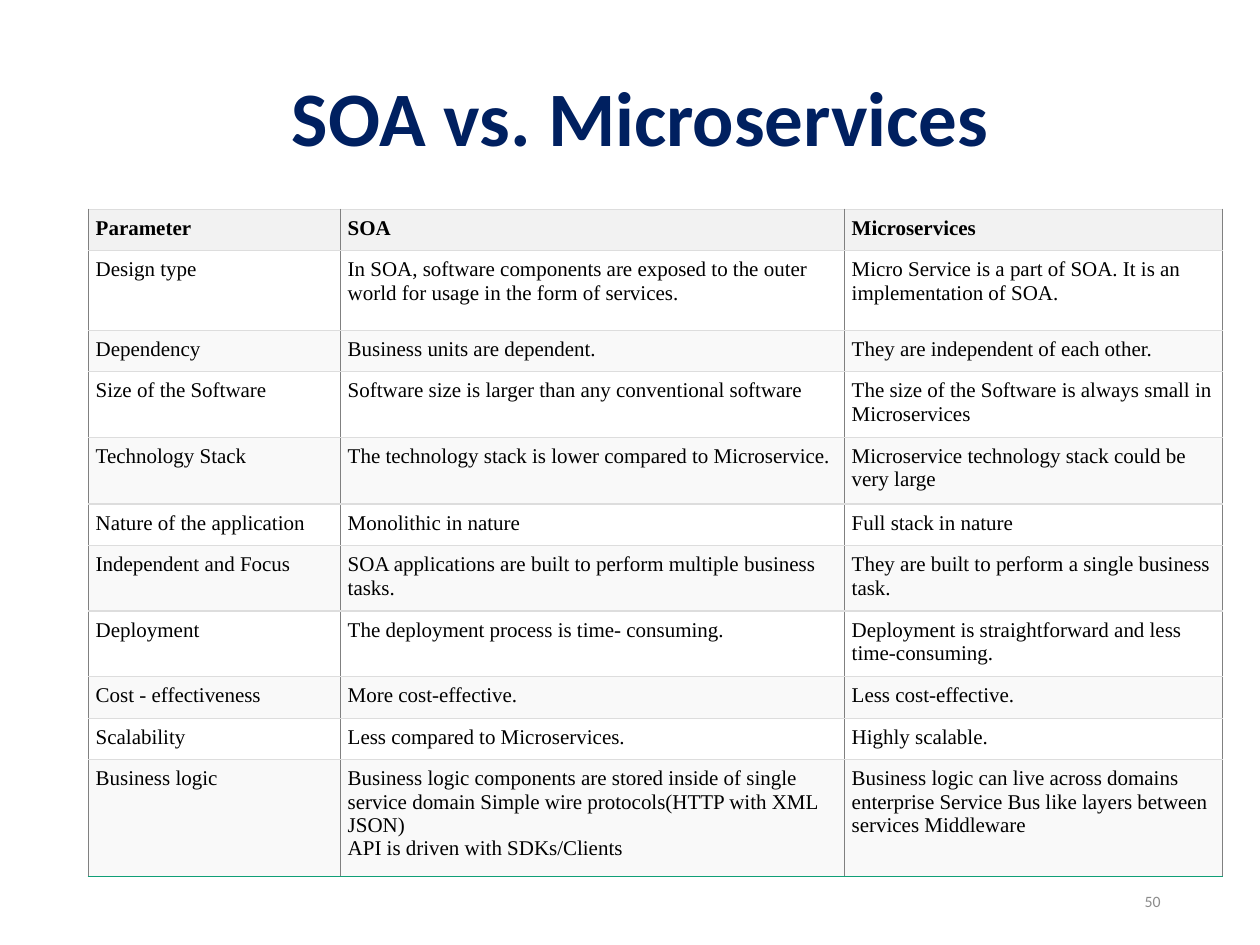
from lxml.etree import SubElement
from pptx import Presentation
from pptx.dml.color import RGBColor
from pptx.enum.text import MSO_ANCHOR, MSO_AUTO_SIZE, PP_ALIGN
from pptx.oxml.ns import qn
from pptx.util import Inches, Pt

NAVY = RGBColor(0x00, 0x20, 0x60)
BLACK = RGBColor(0x00, 0x00, 0x00)
WHITE = RGBColor(0xFF, 0xFF, 0xFF)
HEADER_FILL = RGBColor(0xF2, 0xF2, 0xF2)
BAND_FILL = RGBColor(0xF9, 0xF9, 0xF9)
NUMBER_GRAY = RGBColor(0x8C, 0x8C, 0x8C)
RULE_GRAY = RGBColor(0xDD, 0xDD, 0xDD)
COLUMN_GRAY = RGBColor(0x80, 0x80, 0x80)
BOTTOM_GREEN = RGBColor(0x10, 0x9F, 0x77)

COLUMN_WIDTHS = [2, 4, 3]
ROWS = [
    (0.33, "Parameter", "SOA", "Microservices"),
    (0.63, "Design type",
     "In SOA, software components are exposed to the outer world for usage in the form of services.",
     "Micro Service is a part of SOA. It is an implementation of SOA."),
    (0.33, "Dependency", "Business units are dependent.", "They are independent of each other."),
    (0.52, "Size of the Software", "Software size is larger than any conventional software",
     "The size of the Software is always small in Microservices"),
    (0.53, "Technology Stack", "The technology stack is lower compared to Microservice.",
     "Microservice technology stack could be very large"),
    (0.33, "Nature of the application", "Monolithic in nature", "Full stack in nature"),
    (0.52, "Independent and Focus", "SOA applications are built to perform multiple business tasks.",
     "They are built to perform a single business task."),
    (0.52, "Deployment", "The deployment process is time- consuming.",
     "Deployment is straightforward and less time-consuming."),
    (0.33, "Cost - effectiveness", "More cost-effective.", "Less cost-effective."),
    (0.33, "Scalability", "Less compared to Microservices.", "Highly scalable."),
    (0.93, "Business logic",
     "Business logic components are stored inside of single service domain "
     "Simple wire protocols(HTTP with XML JSON)\nAPI is driven with SDKs/Clients",
     "Business logic can live across domains enterprise Service Bus like layers between services Middleware"),
]


def add_run(paragraph, text, font_name, size, color, bold=False):
    run = paragraph.add_run()
    run.text = text
    run.font.name = font_name
    run.font.size = Pt(size)
    run.font.bold = bold
    run.font.color.rgb = color


def add_border(cell, side, color):
    line = SubElement(cell._tc.get_or_add_tcPr(), qn(f"a:ln{side}"), w=str(Pt(0.75)))
    fill = SubElement(line, qn("a:solidFill"))
    SubElement(fill, qn("a:srgbClr"), val=str(color))


presentation = Presentation()
presentation.slide_width = Inches(10)
presentation.slide_height = Inches(7.5)
slide = presentation.slides.add_slide(presentation.slide_layouts[5])

title = slide.shapes.title
title.left, title.top, title.width, title.height = Inches(0.67), Inches(0.5), Inches(8.83), Inches(0.84)
title.text_frame.auto_size = MSO_AUTO_SIZE.SHAPE_TO_FIT_TEXT
title_paragraph = title.text_frame.paragraphs[0]
title_paragraph.alignment = PP_ALIGN.CENTER
add_run(title_paragraph, "SOA vs. Microservices", "Calibri", 44, NAVY, True)

number_box = slide.shapes.add_textbox(Inches(7.06), Inches(6.95), Inches(2.25), Inches(0.4))
number_box.text_frame.word_wrap = True
number_box.text_frame.vertical_anchor = MSO_ANCHOR.MIDDLE
number_paragraph = number_box.text_frame.paragraphs[0]
number_paragraph.alignment = PP_ALIGN.RIGHT
add_run(number_paragraph, "50", "Calibri", 9, NUMBER_GRAY)

table = slide.shapes.add_table(
    len(ROWS), len(COLUMN_WIDTHS), Inches(0.7), Inches(1.66),
    Inches(sum(COLUMN_WIDTHS)), Inches(sum(row[0] for row in ROWS)),
).table
for column, width in zip(table.columns, COLUMN_WIDTHS):
    column.width = Inches(width)

for row_index, (height, *texts) in enumerate(ROWS):
    table.rows[row_index].height = Inches(height)
    is_header = row_index == 0
    is_last = row_index == len(ROWS) - 1
    row_fill = HEADER_FILL if is_header else WHITE if row_index % 2 else BAND_FILL
    for column_index, text in enumerate(texts):
        cell = table.cell(row_index, column_index)
        cell.margin_left = cell.margin_right = Inches(0.06)
        cell.margin_top = cell.margin_bottom = Inches(0.06)
        add_border(cell, "L", COLUMN_GRAY)
        add_border(cell, "R", COLUMN_GRAY)
        add_border(cell, "T", RULE_GRAY)
        add_border(cell, "B", BOTTOM_GREEN if is_last else RULE_GRAY)
        cell.fill.solid()
        cell.fill.fore_color.rgb = row_fill
        paragraph = cell.text_frame.paragraphs[0]
        for line_index, line_text in enumerate(text.split("\n")):
            if line_index:
                paragraph.add_line_break()
            add_run(paragraph, line_text, "Times New Roman", 12, BLACK, is_header)

presentation.save("out.pptx")
